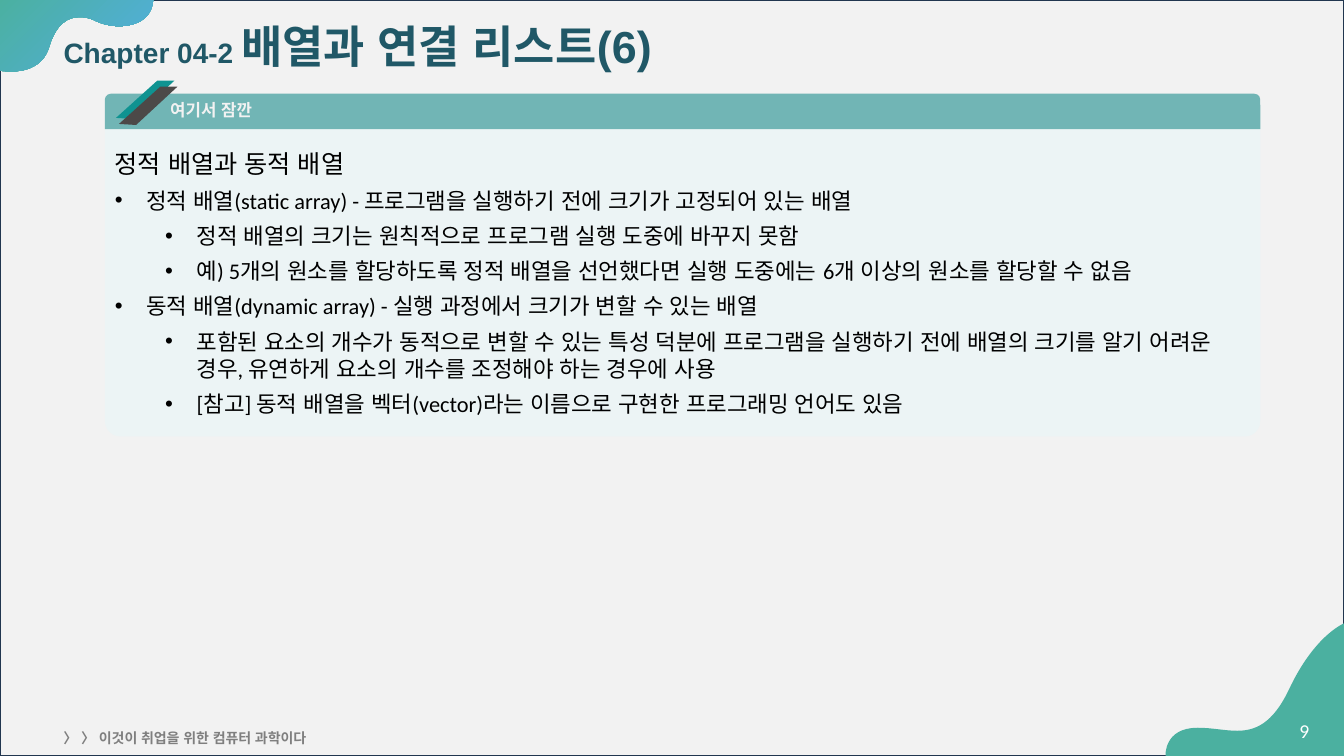
from pptx import Presentation
from pptx.dml.color import RGBColor
from pptx.enum.lang import MSO_LANGUAGE_ID as Lang
from pptx.enum.shapes import MSO_SHAPE as Shape
from pptx.enum.text import MSO_ANCHOR as Anchor, MSO_AUTO_SIZE as AutoSize, PP_ALIGN as Align
from pptx.oxml.ns import qn
from pptx.util import Inches, Pt
from lxml.etree import Element, SubElement

W, H = 13.33, 7.5
COLORS = {
    "page": "F2F2F2", "frame": "21364F", "teal": "4BB0A0", "blue": "52AEE1",
    "title": "205867", "white": "FFFFFF", "footer": "7F7F7F", "panel": "ECF4F5",
    "bar": "71B5B5", "stripe": "0F9391", "shade": "4C4948", "text": "000000",
}
TOP_BLOB = [
    [(1.53, 0)],
    [(0, 0)],
    [(0, 0.72)],
    [(0, 0.72), (0.05, 0.73), (0.12, 0.73)],
    [(0.25, 0.73), (0.44, 0.69), (0.5, 0.48)],
    [(0.57, 0.25), (0.69, 0.19), (0.8, 0.19)],
    [(0.85, 0.19), (0.9, 0.2), (0.94, 0.22)],
    [(1.02, 0.26), (1.11, 0.28), (1.19, 0.28)],
    [(1.38, 0.28), (1.53, 0.19), (1.53, 0)],
]
BOTTOM_BLOB = [
    [(1.8, 0)],
    [(1.8, 0), (1.5, 0.11), (1.24, 0.67)],
    [(1.08, 1), (0.91, 1.07), (0.73, 1.07)],
    [(0.61, 1.07), (0.48, 1.04), (0.34, 1.04)],
    [(0, 1.04), (0.02, 1.32), (0.02, 1.32)],
    [(1.8, 1.32)],
]
STRIPE = [[(0.58, 0)], [(0.17, 0.38)], [(0, 0.37)], [(0.41, 0)], [(0.56, 0)]]
NOTES = [
    (0, "정적 배열(static array) - 프로그램을 실행하기 전에 크기가 고정되어 있는 배열"),
    (1, "정적 배열의 크기는 원칙적으로 프로그램 실행 도중에 바꾸지 못함"),
    (1, "예) 5개의 원소를 할당하도록 정적 배열을 선언했다면 실행 도중에는 6개 이상의 원소를 할당할 수 없음"),
    (0, "동적 배열(dynamic array) - 실행 과정에서 크기가 변할 수 있는 배열"),
    (1, "포함된 요소의 개수가 동적으로 변할 수 있는 특성 덕분에 프로그램을 실행하기 전에 배열의 크기를 알기 어려운 경우, "
        "유연하게 요소의 개수를 조정해야 하는 경우에 사용"),
    (1, "[참고] 동적 배열을 벡터(vector)라는 이름으로 구현한 프로그래밍 언어도 있음"),
]


def rgb(name):
    return RGBColor.from_string(COLORS[name])


def paint(sp, fill, line=None):
    sp.shadow.inherit = False
    sp.fill.solid()
    sp.fill.fore_color.rgb = rgb(fill)
    if line:
        sp.line.color.rgb = rgb(line)
        sp.line.width = Pt(1)
    else:
        sp.line.fill.background()
    return sp


def style(r, size, color, bold=False, name="Calibri"):
    font = r.font
    font.name, font.size, font.bold = name, Pt(size), bold
    font.color.rgb = rgb(color)
    font.language_id = Lang.KOREAN
    latin = r._r.rPr.find(qn("a:latin"))
    east_asian = Element(qn("a:ea"))
    east_asian.set("typeface", "Arial")
    latin.addnext(east_asian)


def add_box(s, kind, box, fill, line=None):
    return paint(s.shapes.add_shape(kind, *map(Inches, box)), fill, line)


def add_text(s, box, text, size, color, bold=False):
    tf = s.shapes.add_textbox(*map(Inches, box)).text_frame
    tf.word_wrap = True
    tf.text = text
    style(tf.paragraphs[0].runs[0], size, color, bold)
    return tf


def add_outline(s, origin, segments, fill):
    x, y = origin
    start, *rest = [[(Inches(x + px), Inches(y + py)) for px, py in seg] for seg in segments]
    builder = s.shapes.build_freeform(*start[0])
    builder.add_line_segments([seg[-1] for seg in rest], close=True)
    sp = builder.convert_to_shape()
    for edge, seg in zip(list(sp._element.iter(qn("a:lnTo"))), rest):
        if len(seg) == 3:
            edge.tag = qn("a:cubicBezTo")
            for i, (px, py) in enumerate(seg[:2]):
                pt = Element(qn("a:pt"))
                pt.set("x", str(px - sp.left))
                pt.set("y", str(py - sp.top))
                edge.insert(i, pt)
    return paint(sp, fill)


def add_background(s, box):
    x, y, w, h = box
    add_box(s, Shape.RECTANGLE, box, "page", "frame")
    blob = add_outline(s, (x - 0.01, y - 0.02), TOP_BLOB, "teal")
    blob.fill.gradient()
    blob.fill.gradient_angle = 315
    for stop, color in zip(blob.fill.gradient_stops, ("teal", "blue")):
        stop.color.rgb = rgb(color)
    add_outline(s, (x + w - 1.79, y + h - 1.32), BOTTOM_BLOB, "teal")


def add_title(s, box):
    title = s.shapes.title
    title.element.getparent().append(title.element)
    title.left, title.top, title.width, title.height = map(Inches, box)
    tf = title.text_frame
    tf.auto_size = AutoSize.NONE
    tf.vertical_anchor = Anchor.MIDDLE
    p = tf.paragraphs[0]
    p.alignment = Align.LEFT
    p.line_spacing = 0.9
    for text, size in (("Chapter 04-2 ", 20), ("배열과 연결 리스트(6)", 32)):
        r = p.add_run()
        r.text = text
        style(r, size, "title", True, "Arial")


def add_footer(s, box):
    x, y, w, h = box
    add_text(s, (x + w - 0.44, y, 0.44, h), "9", 14, "white")
    add_text(s, (x, y + 0.11, 4.5, 0.24), "〉 〉 이것이 취업을 위한 컴퓨터 과학이다", 10, "footer", True)


def add_bullet(p, level):
    p.level = level
    pPr = p._p.get_or_add_pPr()
    pPr.set("marL", str(Pt(22.5 + 36 * level)))
    pPr.set("indent", str(Pt(-22.5)))
    p.space_before = Pt(6)
    color = SubElement(pPr, qn("a:buClr"))
    SubElement(color, qn("a:srgbClr")).set("val", COLORS["text"])
    SubElement(pPr, qn("a:buFont")).set("typeface", "Arial")
    SubElement(pPr, qn("a:buChar")).set("char", "•")


def add_note_panel(s, box):
    x, y, w, h = box
    bar = 0.35
    panel = add_box(s, Shape.ROUND_2_SAME_RECTANGLE, (x, y + bar - 0.01, w, h - bar + 0.01), "panel")
    panel.rotation = 180
    panel.adjustments[0] = 0.05
    add_box(s, Shape.ROUND_2_SAME_RECTANGLE, (x, y, w, bar), "bar")
    add_text(s, (x + 0.55, y + 0.01, 1.1, 0.3), "여기서 잠깐", 12, "page", True)
    for dx, dy, color in ((0.11, -0.13, "stripe"), (0.14, -0.07, "shade")):
        add_outline(s, (x + dx, y + dy), STRIPE, color)
    tf = add_text(s, (x, y + 0.49, w, 2.79), "정적 배열과 동적 배열", 18, "text")
    for level, text in NOTES:
        p = tf.add_paragraph()
        p.text = text
        add_bullet(p, level)
        style(p.runs[0], 16, "text")


def main():
    prs = Presentation()
    prs.slide_width, prs.slide_height = Inches(W), Inches(H)
    s = prs.slides.add_slide(prs.slide_layouts[5])
    add_background(s, (0, 0, W, H))
    add_title(s, (0.53, 0.12, 12.34, 0.73))
    add_footer(s, (0.53, 7.08, 12.7, 0.4))
    add_note_panel(s, (1.04, 0.93, 11.46, 3.4))
    prs.save("out.pptx")


if __name__ == "__main__":
    main()
